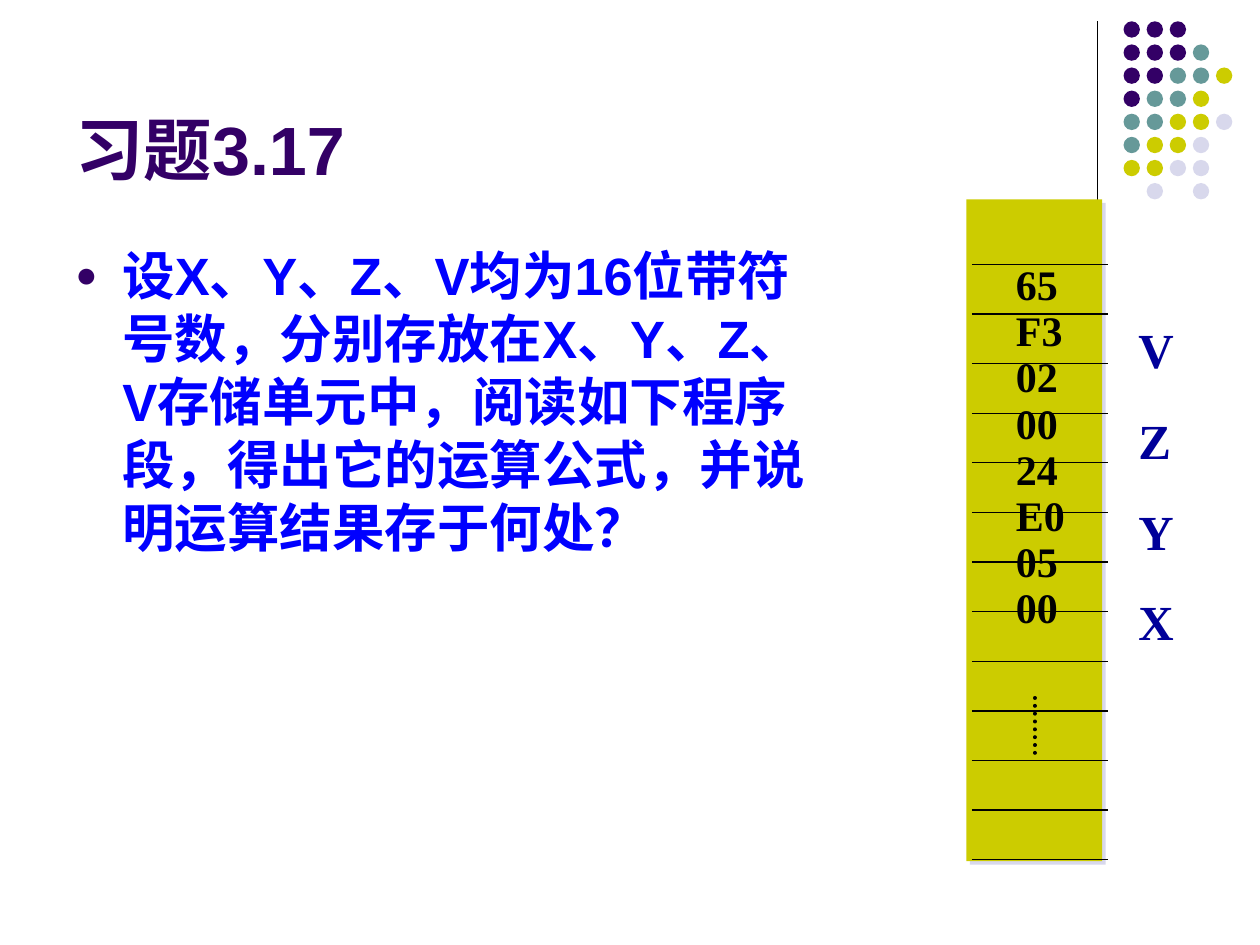
from dataclasses import dataclass

from lxml import etree
from pptx import Presentation
from pptx.dml.color import RGBColor
from pptx.enum.dml import MSO_LINE
from pptx.enum.shapes import MSO_CONNECTOR, MSO_SHAPE
from pptx.enum.text import MSO_ANCHOR, MSO_AUTO_SIZE, PP_ALIGN
from pptx.oxml.ns import qn
from pptx.util import Cm, Pt

STRAIGHT = MSO_CONNECTOR.STRAIGHT
RECT, OVAL = MSO_SHAPE.RECTANGLE, MSO_SHAPE.OVAL
LEFT, TOP, BOTTOM = PP_ALIGN.LEFT, MSO_ANCHOR.TOP, MSO_ANCHOR.BOTTOM
NO_FIT, SYS_DOT = MSO_AUTO_SIZE.NONE, MSO_LINE.ROUND_DOT


@dataclass(frozen=True)
class Theme:
    dark: str = "330066"
    teal: str = "669999"
    lime: str = "CCCC00"
    pale: str = "D8D8EC"
    blue: str = "0000FF"
    navy: str = "000099"
    black: str = "000000"
    sans: str = "Arial"
    serif: str = "Times New Roman"
    title: float = 39
    body: float = 30
    label: float = 28
    byte: float = 24
    thin: float = 0.75
    thick: float = 2.25


THEME = Theme()
DOTS = ["DDD", "DDDT", "DDTTL", "DTTL", "TTLLP", "TLLP", "LLPP", " P P"]
INKS = {"D": THEME.dark, "T": THEME.teal, "L": THEME.lime, "P": THEME.pale}
LABELS = ["V", "Z", "Y", "X"]
BYTES = ["65", "F3", "02", "00", "24", "E0", "05", "00"]
QUESTION = ("设X、Y、Z、V均为16位带符号数，分别存放在X、Y、Z、V存储单元中，"
            "阅读如下程序段，得出它的运算公式，并说明运算结果存于何处？")


def rgb(ink):
    return RGBColor.from_string(ink)


def style(para, face, size, ink):
    font = para.font
    font.name, font.size, font.bold = face, Pt(size), True
    font.color.rgb = rgb(ink)


def add_line(slide, x1, y1, x2, y2, width=THEME.thin):
    line = slide.shapes.add_connector(STRAIGHT, Cm(x1), Cm(y1), Cm(x2), Cm(y2))
    line.line.color.rgb = rgb(THEME.black)
    line.line.width = Pt(width)
    etree.SubElement(line._element.spPr, qn("a:effectLst"))
    return line


def add_shape(slide, kind, box, ink):
    shape = slide.shapes.add_shape(kind, *map(Cm, box))
    shape.shadow.inherit = False
    shape.fill.solid()
    shape.fill.fore_color.rgb = rgb(ink)
    shape.line.fill.background()
    return shape


def add_text(slide, box, wrap=True):
    frame = slide.shapes.add_textbox(*map(Cm, box)).text_frame
    frame.word_wrap = wrap
    frame.vertical_anchor = TOP
    return frame


def add_stack(slide, box, words, size, ink, gap, lead=None):
    """A column of short words with an equal gap between them."""
    frame = add_text(slide, box, wrap=False)
    for i, word in enumerate(words):
        para = frame.paragraphs[0] if i == 0 else frame.add_paragraph()
        para.text = word
        para.line_spacing = lead
        if i:
            para.space_before = Pt(gap)
        style(para, THEME.serif, size, ink)


def add_bullet(para, indent):
    props = para._p.get_or_add_pPr()
    props.set("marL", str(Cm(indent)))
    props.set("indent", str(-Cm(indent)))
    color = etree.SubElement(props, qn("a:buClr"))
    etree.SubElement(color, qn("a:srgbClr"), val=THEME.dark)
    etree.SubElement(props, qn("a:buSzPct"), val="70000")
    etree.SubElement(props, qn("a:buFont"), typeface=THEME.sans)
    etree.SubElement(props, qn("a:buChar"), char="●")


def add_shadow(shape):
    effects = shape._element.spPr.find(qn("a:effectLst"))
    shade = etree.SubElement(effects, qn("a:outerShdw"), dist=str(Pt(2.8)),
                             dir="2700000", algn="ctr", rotWithShape="0")
    etree.SubElement(shade, qn("a:srgbClr"), val=THEME.pale)


def draw_corner(slide, box):
    """Vertical rule with the dot pattern beside it."""
    x, y, _, high = box
    add_line(slide, x, y, x, y + high)
    size, step = 0.33, 3.26 / 7
    for row, marks in enumerate(DOTS):
        for col, mark in enumerate(marks):
            if mark in INKS:
                spot = (x + 0.53 + col * step, y + row * step, size, size)
                add_shape(slide, OVAL, spot, INKS[mark])


def draw_title(slide, box):
    title = slide.shapes.title
    title.left, title.top, title.width, title.height = map(Cm, box)
    frame = title.text_frame
    frame.text = "习题3.17"
    frame.auto_size = NO_FIT
    frame.vertical_anchor = BOTTOM
    para = frame.paragraphs[0]
    para.alignment = LEFT
    style(para, THEME.sans, THEME.title, THEME.dark)


def draw_body(slide, box):
    para = add_text(slide, box).paragraphs[0]
    para.text = QUESTION
    add_bullet(para, 0.95)
    style(para, THEME.sans, THEME.body, THEME.blue)


def draw_memory(slide, box):
    """Memory column with its bytes, cell rules and variable labels."""
    x, y, wide, _ = box
    add_shadow(add_shape(slide, RECT, box, THEME.lime))
    add_stack(slide, (x + wide + 0.48, y + 2.3, 1.22, 7.32), LABELS,
              THEME.label, THEME.navy, gap=18.2)
    add_stack(slide, (x + 0.75, y + 1.51, 1.7, 7.87), BYTES,
              THEME.byte, THEME.black, gap=12, lead=0.5)
    # Cell rules, one centimetre apart
    for row in range(13):
        level = y + 1.31 + row
        add_line(slide, x + 0.11, level, x + wide + 0.12, level)
    # Round dots for the cells left out
    more = add_line(slide, x + 1.38, y + 10.05, x + 1.38, y + 11.3, THEME.thick)
    more.line.dash_style = SYS_DOT
    more._element.spPr.find(qn("a:ln")).set("cap", "rnd")


def main():
    deck = Presentation()
    deck.slide_width, deck.slide_height = Cm(25.4), Cm(19.05)
    slide = deck.slides.add_slide(deck.slide_layouts[5])
    draw_corner(slide, (22.12, 0.43, 2.8, 4.22))
    draw_title(slide, (1.27, 1.49, 13.97, 2.46))
    draw_body(slide, (1.27, 4.78, 15.42, 12.24))
    draw_memory(slide, (19.48, 4.02, 2.74, 13.34))
    deck.save("out.pptx")


if __name__ == "__main__":
    main()
